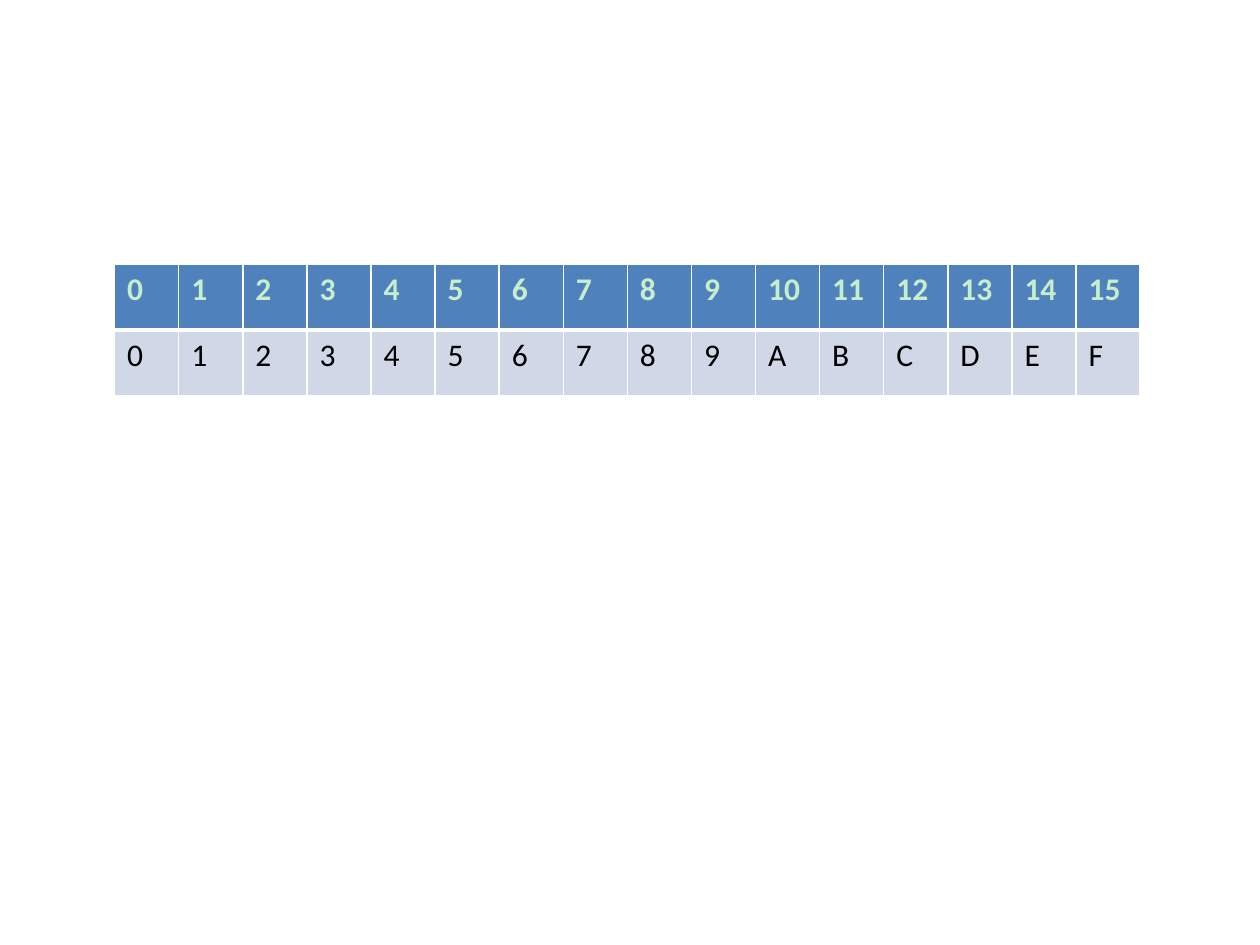
import pptx
import pptx.dml.color
import pptx.oxml
import pptx.oxml.ns
import pptx.util

Pt = pptx.util.Pt
COLORS = {
    "background": "FFFFFF",
    "border": "FFFFFF",
    "header_fill": "4F81BD",
    "header_text": "C7EDCC",
    "body_fill": "D0D8E8",
    "body_text": "000000",
}
DECIMALS = [str(value) for value in range(16)]
HEX_DIGITS = list("0123456789ABCDEF")
LEFT, TOP = 65.5, 151.2
COLUMN_WIDTH, ROW_HEIGHT = 36.63, 37.5


def rgb(name):
    return pptx.dml.color.RGBColor.from_string(COLORS[name])


def set_border(cell, side, width):
    border = pptx.oxml.parse_xml(
        f'<a:ln{side} {pptx.oxml.ns.nsdecls("a")} w="{Pt(width)}">'
        f'<a:solidFill><a:srgbClr val="{COLORS["border"]}"/></a:solidFill>'
        f'</a:ln{side}>'
    )
    cell._tc.get_or_add_tcPr().append(border)


def fill_cell(cell, label, role, border_widths):
    cell.text_frame.text = label
    font = cell.text_frame.paragraphs[0].runs[0].font
    font.name = "Calibri"
    font.size = Pt(18)
    font.bold = role == "header"
    font.color.rgb = rgb(f"{role}_text")
    for side, width in border_widths.items():
        set_border(cell, side, width)
    cell.fill.solid()
    cell.fill.fore_color.rgb = rgb(f"{role}_fill")


def add_digit_table(slide):
    count = len(DECIMALS)
    digits = slide.shapes.add_table(
        2, count, Pt(LEFT), Pt(TOP), Pt(COLUMN_WIDTH * count), Pt(ROW_HEIGHT * 2)
    ).table
    for column in digits.columns:
        column.width = Pt(COLUMN_WIDTH)
    rows = [
        ("header", DECIMALS, {"L": 1, "R": 1, "T": 1, "B": 3}),
        ("body", HEX_DIGITS, {"L": 1, "R": 1, "T": 3, "B": 1}),
    ]
    for row_index, (role, labels, border_widths) in enumerate(rows):
        digits.rows[row_index].height = Pt(ROW_HEIGHT)
        for column_index, label in enumerate(labels):
            fill_cell(digits.cell(row_index, column_index), label, role, border_widths)


def main():
    deck = pptx.Presentation()
    deck.slide_width, deck.slide_height = Pt(720), Pt(540)
    slide = deck.slides.add_slide(deck.slide_layouts[6])
    slide.background.fill.solid()
    slide.background.fill.fore_color.rgb = rgb("background")
    add_digit_table(slide)
    deck.save("out.pptx")


if __name__ == "__main__":
    main()
